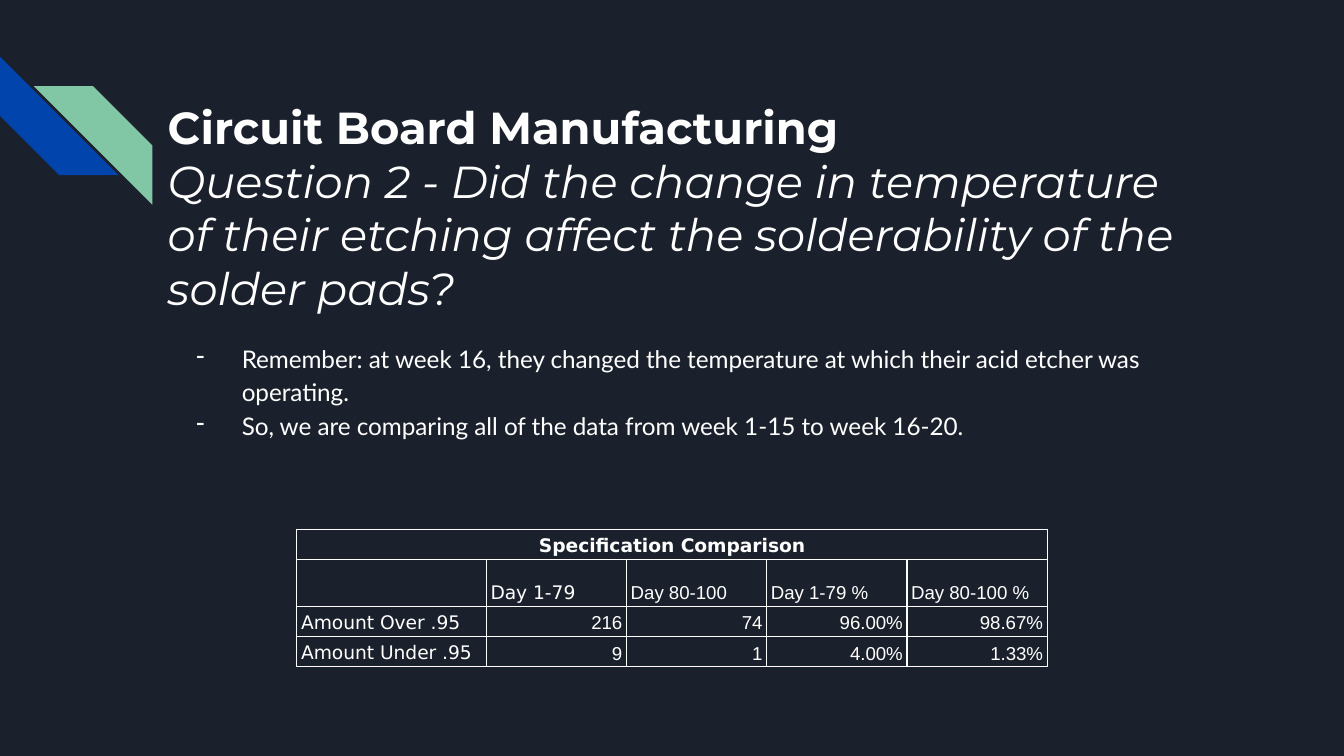
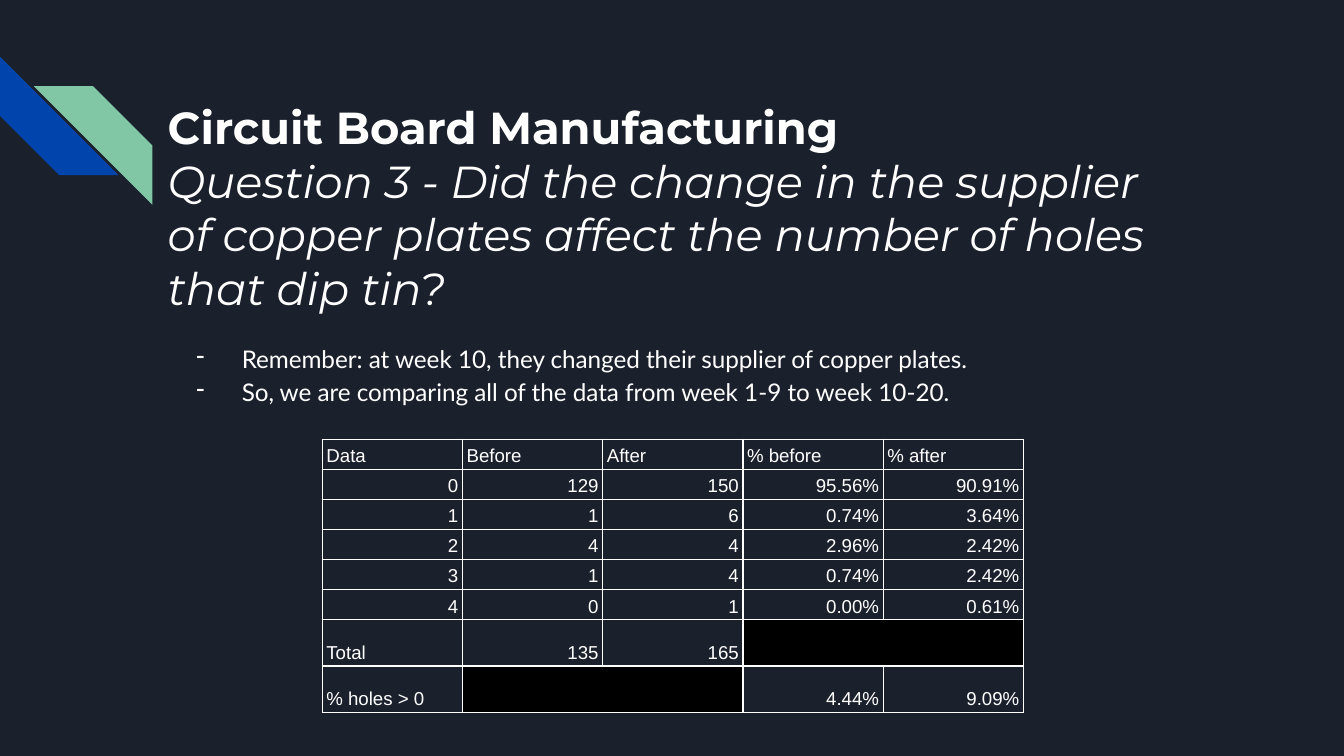
from lxml.etree import SubElement
from pptx import Presentation
from pptx.dml.color import RGBColor
from pptx.enum.shapes import MSO_SHAPE
from pptx.enum.text import MSO_ANCHOR, MSO_AUTO_SIZE, PP_ALIGN
from pptx.oxml.ns import qn
from pptx.util import Cm, Pt

NAVY = RGBColor(0x1B, 0x21, 0x2C)
BLUE = RGBColor(0x01, 0x45, 0xAC)
GREEN = RGBColor(0x82, 0xC7, 0xA5)
WHITE = RGBColor(0xFF, 0xFF, 0xFF)
BLACK = RGBColor(0x00, 0x00, 0x00)

HEAD = "Circuit Board Manufacturing"
LOW, TALL = 0.57, 0.81  # row heights in cm
WIDE, COL = 3.58, 2.65  # column widths in cm
SANS = {"Specification Comparison", "Day 1-79", "Amount Over .95", "Amount Under .95"}

SLIDES = [
    {
        "ask": "Question 2 - Did the change in temperature of their etching "
               "affect the solderability of the solder pads?",
        "notes": [
            "Remember: at week 16, they changed the temperature at which "
            "their acid etcher was operating.",
            "So, we are comparing all of the data from week 1-15 to week 16-20.",
        ],
        "at": (5.61, 10.01),
        "cols": [WIDE] + [COL] * 4,
        "spans": [(0, 0, 4)],
        "rows": [
            ["Specification Comparison", "", "", "", ""],
            ["", "Day 1-79", "Day 80-100", "Day 1-79 %", "Day 80-100 %"],
            ["Amount Over .95", "216", "74", "96.00%", "98.67%"],
            ["Amount Under .95", "9", "1", "4.00%", "1.33%"],
        ],
        "tall": {1},
    },
    {
        "ask": "Question 3 - Did the change in the supplier of copper plates "
               "affect the number of holes that dip tin?",
        "notes": [
            "Remember: at week 10, they changed their supplier of copper plates.",
            "So, we are comparing all of the data from week 1-9 to week 10-20.",
        ],
        "at": (6.09, 8.3),
        "cols": [COL] * 5,
        "spans": [(6, 3, 4), (7, 1, 2)],
        "rows": [
            ["Data", "Before", "After", "% before", "% after"],
            ["0", "129", "150", "95.56%", "90.91%"],
            ["1", "1", "6", "0.74%", "3.64%"],
            ["2", "4", "4", "2.96%", "2.42%"],
            ["3", "1", "4", "0.74%", "2.42%"],
            ["4", "0", "1", "0.00%", "0.61%"],
            ["Total", "135", "165", "", ""],
            ["% holes > 0", "", "", "4.44%", "9.09%"],
        ],
        "tall": {6, 7},
    },
]


def style(para, name, size, bold=False, italic=False):
    for run in para.runs:
        font = run.font
        font.name, font.size = name, Pt(size)
        font.bold, font.italic = bold, italic
        font.color.rgb = WHITE


def edge(cell):
    """Give a cell a thin white border on all four sides."""
    props = cell._tc.get_or_add_tcPr()
    for side in ("a:lnL", "a:lnR", "a:lnT", "a:lnB"):
        line = SubElement(props, qn(side), w=str(Pt(0.75)))
        fill = SubElement(line, qn("a:solidFill"))
        SubElement(fill, qn("a:srgbClr"), val=str(WHITE))


prs = Presentation()
prs.slide_width, prs.slide_height = Cm(25.4), Cm(14.29)
back = prs.slide_master.background.fill
back.solid()
back.fore_color.rgb = NAVY

for data in SLIDES:
    slide = prs.slides.add_slide(prs.slide_layouts[5])

    # Corner stripes
    for left, top, color in ((0, 1.07, BLUE), (0.64, 1.63, GREEN)):
        stripe = slide.shapes.add_shape(
            MSO_SHAPE.DIAGONAL_STRIPE, Cm(left), Cm(top), Cm(2.24), Cm(2.24))
        stripe.shadow.inherit = False
        stripe.fill.solid()
        stripe.fill.fore_color.rgb = color
        stripe.line.fill.background()
        if color == BLUE:
            stripe.rotation = 270
        else:
            stripe._element.spPr.xfrm.set("flipH", "1")

    # Title and notes
    title = slide.shapes.title
    title.left, title.top, title.width, title.height = Cm(2.92), Cm(1.63), Cm(19.56), Cm(4.14)
    body = slide.shapes.add_textbox(Cm(3.05), Cm(6.17), Cm(19.56), Cm(7.04))
    for frame in (title.text_frame, body.text_frame):
        frame.word_wrap = True
        frame.auto_size = MSO_AUTO_SIZE.NONE
        frame.vertical_anchor = MSO_ANCHOR.TOP
        frame.margin_left = frame.margin_right = Cm(0.25)
        frame.margin_top = frame.margin_bottom = Cm(0.25)

    title.text_frame.text = HEAD + "\n" + data["ask"]
    for para, main in zip(title.text_frame.paragraphs, (True, False)):
        para.alignment = PP_ALIGN.LEFT
        style(para, "Montserrat", 24, bold=main, italic=not main)

    body.text_frame.text = "\n".join(data["notes"])
    for para in body.text_frame.paragraphs:
        para.line_spacing = 1.15
        style(para, "Lato", 13)
        props = para._p.get_or_add_pPr()
        props.set("marL", str(Cm(1.27)))
        props.set("indent", str(Cm(-0.86)))
        tint = SubElement(props, qn("a:buClr"))
        SubElement(tint, qn("a:srgbClr"), val=str(WHITE))
        SubElement(props, qn("a:buChar"), char="-")

    # Table
    rows, cols = data["rows"], data["cols"]
    sizes = [TALL if i in data["tall"] else LOW for i in range(len(rows))]
    left, top = data["at"]
    table = slide.shapes.add_table(
        len(rows), len(cols), Cm(left), Cm(top), Cm(sum(cols)), Cm(sum(sizes))).table
    table.first_row = table.horz_banding = False
    for col, width in zip(table.columns, cols):
        col.width = Cm(width)
    for row, height in zip(table.rows, sizes):
        row.height = Cm(height)
    for row, first, last in data["spans"]:
        table.cell(row, first).merge(table.cell(row, last))

    for i, row in enumerate(rows):
        for j, text in enumerate(row):
            cell = table.cell(i, j)
            edge(cell)
            cell.margin_left = cell.margin_right = Cm(0.08)
            cell.margin_top = cell.margin_bottom = Cm(0.05)
            cell.vertical_anchor = MSO_ANCHOR.BOTTOM
            if cell.is_merge_origin and not text:
                cell.fill.solid()
                cell.fill.fore_color.rgb = BLACK
            else:
                cell.fill.background()
            if not text:
                continue
            cell.text_frame.text = text
            para = cell.text_frame.paragraphs[0]
            para.line_spacing = 1.15
            if cell.is_merge_origin:
                para.alignment = PP_ALIGN.CENTER
            elif text[0].isdigit():
                para.alignment = PP_ALIGN.RIGHT
            style(para, "DejaVu Sans" if text in SANS else "Arial", 10,
                  bold=cell.is_merge_origin)

prs.save("out.pptx")
